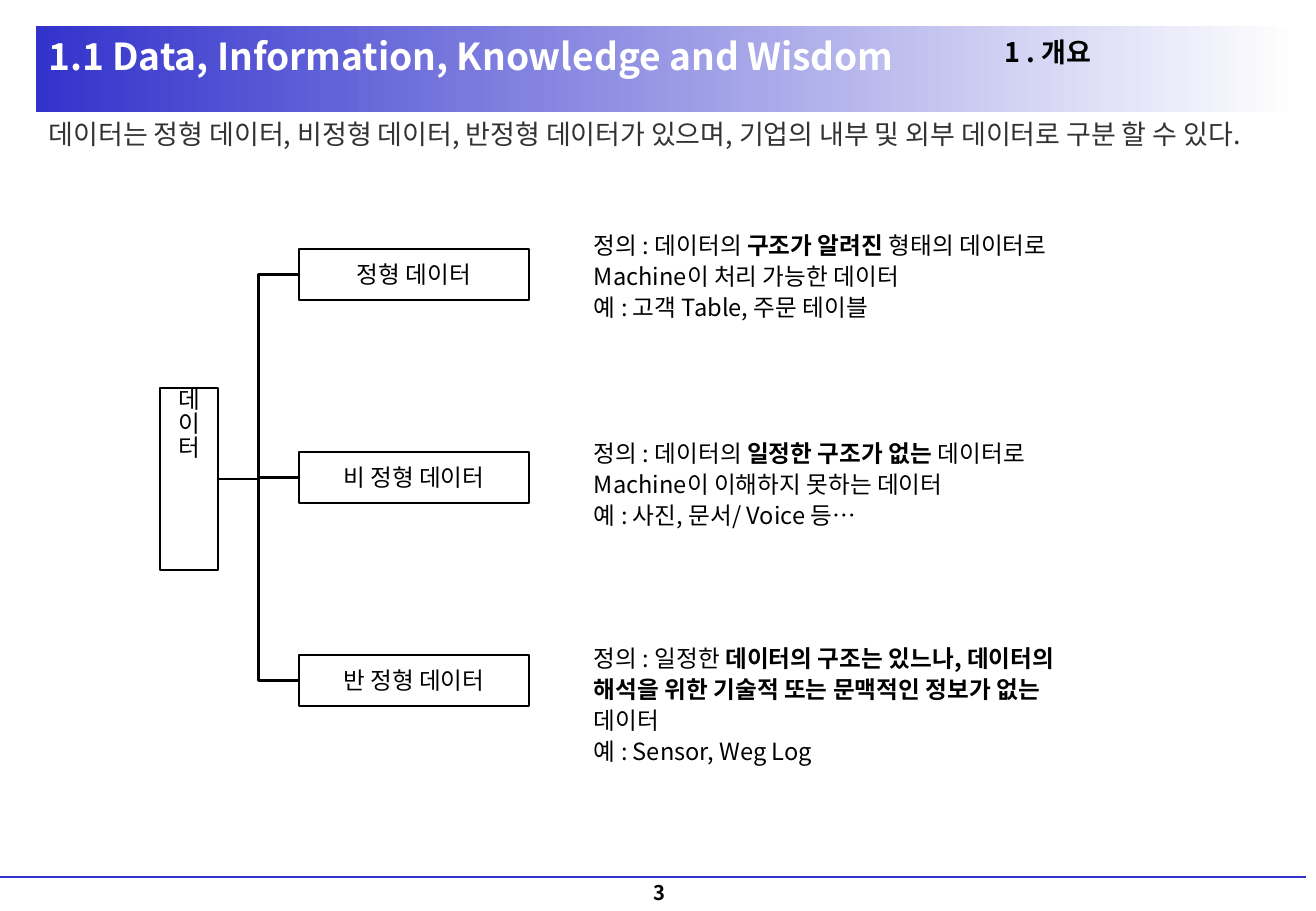
"""Build the slide that sorts data into structured, unstructured and semi-structured."""
from dataclasses import dataclass

import pptx
import pptx.dml.color
import pptx.enum.shapes
import pptx.enum.text
import pptx.oxml
import pptx.oxml.ns
import pptx.util
from lxml import etree

ANCHOR = pptx.enum.text.MSO_ANCHOR
ALIGN = pptx.enum.text.PP_ALIGN
CONNECTOR = pptx.enum.shapes.MSO_CONNECTOR
RECTANGLE = pptx.enum.shapes.MSO_SHAPE.RECTANGLE
RIGHT_SITE, LEFT_SITE = 3, 1


@dataclass(frozen=True)
class Theme:
    font: str = "Noto Sans CJK KR"
    accent: str = "3333CC"
    paper: str = "FFFFFF"
    ink: str = "000000"
    soft_ink: str = "333333"
    title_size: int = 22
    lead_size: int = 16
    body_size: int = 14
    number_size: int = 12
    box_line: float = 1.25
    rule_line: float = 1.5


THEME = Theme()

BRANCH_TOP, BRANCH_PITCH = 249, 203
BRANCHES = [
    ("정형 데이터", 222, [
        [("정의 : 데이터의 ", False), ("구조가 알려진 ", True),
         ("형태의 데이터로 Machine이 처리 가능한 데이터", False)],
        [("예 : 고객 Table, 주문 테이블", False)],
    ]),
    ("비 정형 데이터", 430, [
        [("정의 : 데이터의 ", False), ("일정한 구조가 없는 ", True),
         ("데이터로 Machine이 이해하지 못하는 데이터", False)],
        [("예 : 사진, 문서/ Voice 등…", False)],
    ]),
    ("반 정형 데이터", 635, [
        [("정의 : 일정한 ", False),
         ("데이터의 구조는 있느나, 데이터의 해석을 위한 기술적 또는 문맥적인 정보가 없는 ", True),
         ("데이터", False)],
        [("예 : Sensor, Weg Log", False)],
    ]),
]


def px(length):
    return pptx.util.Emu(round(length * 914400 / 121.5))


def rgb(code):
    return pptx.dml.color.RGBColor.from_string(code)


def style_paragraph(para, size, color, bold=False, align=ALIGN.LEFT):
    para.alignment = align
    font = para.font
    font.size = pptx.util.Pt(size)
    font.bold = bold
    font.name = THEME.font
    font.color.rgb = rgb(color)
    east_asian = etree.SubElement(font._rPr, pptx.oxml.ns.qn("a:ea"))
    east_asian.set("typeface", THEME.font)


def prepare_frame(shape, anchor, inset=True):
    frame = shape.text_frame
    frame.word_wrap = True
    frame.auto_size = pptx.enum.text.MSO_AUTO_SIZE.NONE
    frame.vertical_anchor = anchor
    if not inset:
        frame.margin_left = frame.margin_right = 0
        frame.margin_top = frame.margin_bottom = 0
    return frame


def add_label(page, bounds, text, size, color=THEME.ink, bold=False,
              align=ALIGN.LEFT, anchor=ANCHOR.TOP, inset=True):
    box = page.shapes.add_textbox(*map(px, bounds))
    frame = prepare_frame(box, anchor, inset)
    frame.text = text
    para = frame.paragraphs[0]
    style_paragraph(para, size, color, bold, align)
    return para


def add_title_band(page):
    band = page.shapes.add_shape(RECTANGLE, *map(px, (36, 26, 1264, 86)))
    band.shadow.inherit = False
    band.line.fill.background()
    band.fill.gradient()
    band.fill.gradient_angle = 0
    ends = [(0, THEME.accent), (1, THEME.paper)]
    for stop, (position, color) in zip(band.fill.gradient_stops, ends):
        stop.position = position
        stop.color.rgb = rgb(color)
    page.shapes._spTree.insert(2, band._element)


def fill_title(page, text):
    title = page.shapes.title
    title.left, title.top, title.width, title.height = map(px, (36, 27, 938, 58))
    frame = prepare_frame(title, ANCHOR.MIDDLE)
    frame.text = text
    style_paragraph(frame.paragraphs[0], THEME.title_size, THEME.paper, bold=True)


def add_node(page, bounds, text, align=ALIGN.CENTER, inset=True):
    node = page.shapes.add_shape(RECTANGLE, *map(px, bounds))
    node.shadow.inherit = False
    node.fill.background()
    node.line.color.rgb = rgb(THEME.ink)
    node.line.width = pptx.util.Pt(THEME.box_line)
    frame = prepare_frame(node, ANCHOR.MIDDLE, inset)
    frame.text = text
    style_paragraph(frame.paragraphs[0], THEME.body_size, THEME.ink, align=align)
    return node


def add_definition(page, top, paragraphs):
    box = page.shapes.add_textbox(*map(px, (582, top, 521, 107)))
    frame = prepare_frame(box, ANCHOR.TOP)
    frame.auto_size = pptx.enum.text.MSO_AUTO_SIZE.SHAPE_TO_FIT_TEXT
    for index, spans in enumerate(paragraphs):
        para = frame.add_paragraph() if index else frame.paragraphs[0]
        style_paragraph(para, THEME.body_size, THEME.ink)
        para.line_spacing = 1.1
        for text, bold in spans:
            span = para.add_run()
            span.text = text
            span.font.bold = bold


def add_rule(page, kind, start, end, color):
    rule = page.shapes.add_connector(kind, *map(px, (*start, *end)))
    rule.line.color.rgb = rgb(color)
    rule.line.width = pptx.util.Pt(THEME.rule_line)
    etree.SubElement(rule._element.spPr, pptx.oxml.ns.qn("a:effectLst"))
    return rule


def join(page, root, branch):
    link = add_rule(page, CONNECTOR.ELBOW, (0, 0), (1, 1), THEME.ink)
    link.begin_connect(root, RIGHT_SITE)
    link.end_connect(branch, LEFT_SITE)


def add_data_tree(page):
    root = add_node(page, (160, 388, 58, 182), "데이터", ALIGN.LEFT, inset=False)
    root.text_frame._txBody.bodyPr.set("vert", "eaVert")
    for index, (name, definition_top, paragraphs) in enumerate(BRANCHES):
        top = BRANCH_TOP + index * BRANCH_PITCH
        branch = add_node(page, (299, top, 230, 51), name)
        add_definition(page, definition_top, paragraphs)
        join(page, root, branch)


def main():
    deck = pptx.Presentation()
    deck.slide_width, deck.slide_height = px(1316), px(911)
    page = deck.slides.add_slide(deck.slide_layouts.get_by_name("Title Only"))
    add_title_band(page)
    fill_title(page, "1.1 Data, Information, Knowledge and Wisdom")
    add_label(page, (593, 23, 498, 58), "1 . 개요", THEME.lead_size, bold=True,
              align=ALIGN.RIGHT, anchor=ANCHOR.MIDDLE, inset=False)
    lead = add_label(
        page, (38, 118, 1222, 119),
        "데이터는 정형 데이터, 비정형 데이터, 반정형 데이터가 있으며, "
        "기업의 내부 및 외부 데이터로 구분 할 수 있다.",
        THEME.lead_size, THEME.soft_ink, inset=False)
    lead._p.get_or_add_pPr().set("indent", str(px(11)))
    add_data_tree(page)
    add_rule(page, CONNECTOR.STRAIGHT, (1306, 877), (0, 877), THEME.accent)
    add_label(page, (522, 876, 275, 35), "3", THEME.number_size, bold=True,
              align=ALIGN.CENTER, anchor=ANCHOR.BOTTOM)
    deck.save("out.pptx")


if __name__ == "__main__":
    main()
